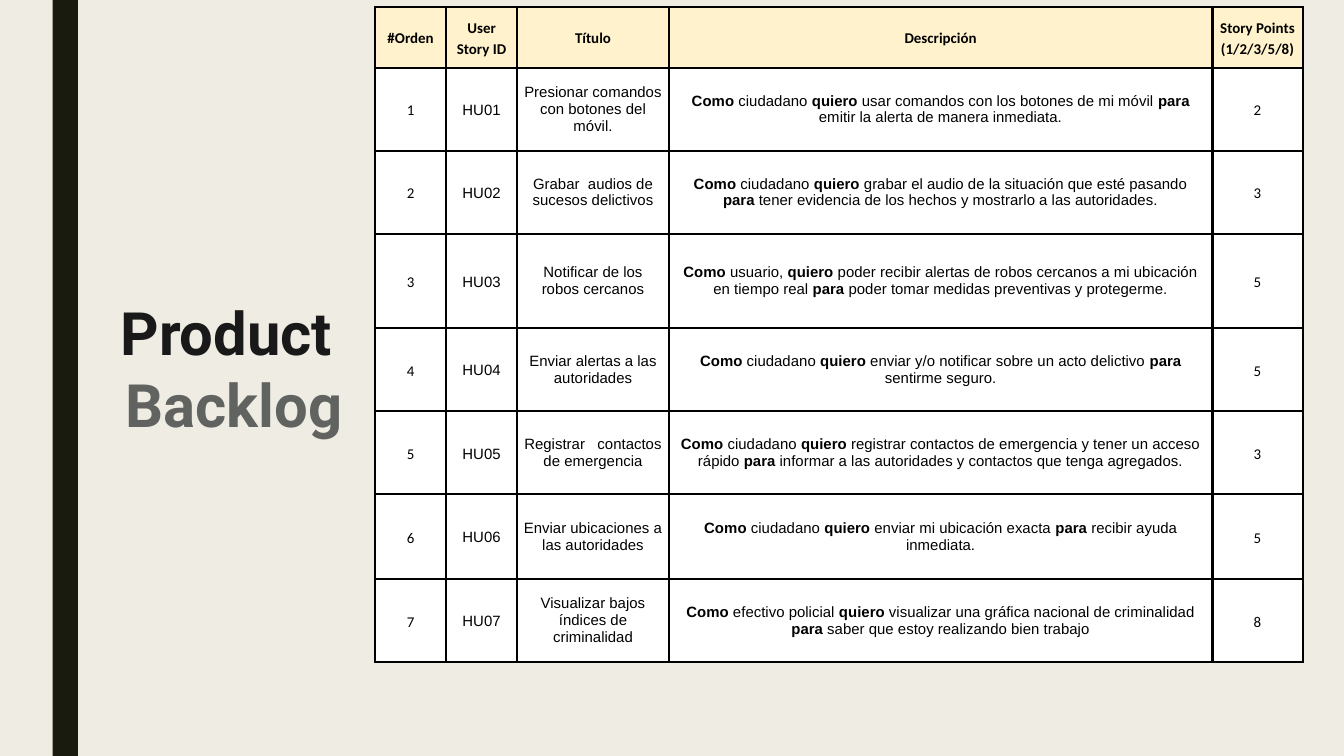
from dataclasses import dataclass
from lxml import etree
from pptx import Presentation
from pptx.dml.color import RGBColor
from pptx.enum.shapes import MSO_SHAPE
from pptx.enum.text import MSO_ANCHOR, PP_ALIGN
from pptx.oxml.ns import qn
from pptx.util import Pt

RECT = MSO_SHAPE.RECTANGLE
MIDDLE = MSO_ANCHOR.MIDDLE
CENTER = PP_ALIGN.CENTER


@dataclass(frozen=True)
class Theme:
    back: str = "EFEDE3"
    bar: str = "191B0E"
    dark: str = "191919"
    gray: str = "616361"
    ink: str = "000000"
    head: str = "FFF2CC"
    body: str = "FFFFFF"
    title_font: str = "Roboto"
    label_font: str = "Calibri"
    text_font: str = "Arial"
    title_size: float = 32
    cell_size: float = 8
    border: float = 1.5
    inset: float = 5
    leading: float = 1.15


class Page:
    def __init__(self, slide, theme):
        self.slide = slide
        self.theme = theme
        self.paint(slide.background.fill, theme.back)

    def paint(self, fill, color):
        fill.solid()
        fill.fore_color.rgb = RGBColor.from_string(color)

    def style(self, run, face, size, color, bold):
        font = run.font
        font.name, font.size, font.bold = face, Pt(size), bold
        font.color.rgb = RGBColor.from_string(color)

    def bar(self, left, top, width, height):
        shape = self.slide.shapes.add_shape(
            RECT, Pt(left), Pt(top), Pt(width), Pt(height))
        shape.shadow.inherit = False
        self.paint(shape.fill, self.theme.bar)
        shape.line.fill.background()

    def title(self, text, colors, left, top, width, height):
        box = self.slide.shapes.add_textbox(
            Pt(left), Pt(top), Pt(width), Pt(height))
        frame = box.text_frame
        frame.word_wrap = True
        frame.vertical_anchor = MIDDLE
        frame.margin_left = frame.margin_right = Pt(self.theme.inset)
        frame.margin_top = frame.margin_bottom = Pt(self.theme.inset)
        frame.text = text
        para = frame.paragraphs[0]
        para.alignment = CENTER
        for run, color in zip(para.runs, colors):
            self.style(run, self.theme.title_font, self.theme.title_size,
                       color, True)

    def edge(self, cell):
        props = cell._tc.get_or_add_tcPr()
        for place, side in enumerate(("lnL", "lnR", "lnT", "lnB")):
            line = etree.Element(
                qn("a:" + side), w=str(Pt(self.theme.border)))
            fill = etree.SubElement(line, qn("a:solidFill"))
            etree.SubElement(fill, qn("a:srgbClr"), val=self.theme.ink)
            props.insert(place, line)

    def cell(self, cell, text, face, leading, fill, bold):
        theme = self.theme
        cell.margin_left = cell.margin_right = Pt(theme.inset - 1.4)
        cell.margin_top = cell.margin_bottom = Pt(theme.inset - 1.4)
        cell.vertical_anchor = MIDDLE
        self.paint(cell.fill, fill)
        self.edge(cell)
        para = cell.text_frame.paragraphs[0]
        para.alignment = CENTER
        para.line_spacing = leading
        # Asterisks enclose the bold words
        for place, part in enumerate(text.split("*")):
            if part:
                run = para.add_run()
                run.text = part
                self.style(run, face, theme.cell_size, theme.ink,
                           bold or place % 2 == 1)

    def table(self, rows, left, top, widths, heights):
        theme = self.theme
        frame = self.slide.shapes.add_table(
            len(rows), len(widths), Pt(left), Pt(top),
            Pt(sum(widths)), Pt(sum(heights)))
        grid = frame.table
        grid.horz_banding = False
        for col, width in zip(grid.columns, widths):
            col.width = Pt(width)
        for row, height in zip(grid.rows, heights):
            row.height = Pt(height)
        faces = [theme.label_font] + [theme.text_font] * 3 + [theme.label_font]
        for i, row in enumerate(rows):
            head = i == 0
            for j, text in enumerate(row):
                wide = head or j not in (2, 3)
                self.cell(grid.cell(i, j), text,
                          theme.label_font if head else faces[j],
                          theme.leading if wide else 1.0,
                          theme.head if head else theme.body, head)


HEAD = ("#Orden", "User Story ID", "Título", "Descripción",
        "Story Points (1/2/3/5/8)")
# Title, description, points
STORIES = [
    ("Presionar comandos con botones del móvil.",
     "*Como* ciudadano *quiero* usar comandos con los botones de mi móvil "
     "*para* emitir la alerta de manera inmediata.", 2),
    ("Grabar  audios de sucesos delictivos",
     "*Como* ciudadano *quiero* grabar el audio de la situación que esté "
     "pasando *para* tener evidencia de los hechos y mostrarlo a las "
     "autoridades.", 3),
    ("Notificar de los robos cercanos",
     "*Como* usuario, *quiero* poder recibir alertas de robos cercanos a mi "
     "ubicación en tiempo real *para* poder tomar medidas preventivas y "
     "protegerme.", 5),
    ("Enviar alertas a las autoridades",
     "*Como* ciudadano *quiero* enviar y/o notificar sobre un acto delictivo "
     "*para* sentirme seguro.", 5),
    ("Registrar   contactos de emergencia",
     "*Como* ciudadano *quiero* registrar contactos de emergencia y tener un "
     "acceso rápido *para* informar a las autoridades y contactos que tenga "
     "agregados.", 3),
    ("Enviar ubicaciones a las autoridades",
     "*Como* ciudadano *quiero* enviar mi ubicación exacta *para* recibir "
     "ayuda inmediata.", 5),
    ("Visualizar bajos índices de criminalidad",
     "*Como* efectivo policial *quiero* visualizar una gráfica nacional de "
     "criminalidad *para* saber que estoy realizando bien trabajo", 8),
]
WIDTHS = [38, 38, 81.5, 291, 48.5]
HEIGHTS = [32.5, 44.5, 44.5, 50.5, 44.5, 44.5, 45.5, 44.5]


def main():
    deck = Presentation()
    deck.slide_width, deck.slide_height = Pt(720), Pt(405)
    theme = Theme()
    page = Page(deck.slides.add_slide(deck.slide_layouts[6]), theme)

    # Side bar and title
    page.bar(28.2, 0, 13.6, 405)
    page.title("Product\v Backlog", (theme.dark, theme.gray),
               -29.5, 157.7, 301.7, 78.5)

    # Backlog table
    rows = [HEAD] + [
        (str(n), f"HU{n:02}", name, story, str(points))
        for n, (name, story, points) in enumerate(STORIES, 1)]
    page.table(rows, 201, 3.8, WIDTHS, HEIGHTS)

    deck.save("out.pptx")


if __name__ == "__main__":
    main()
